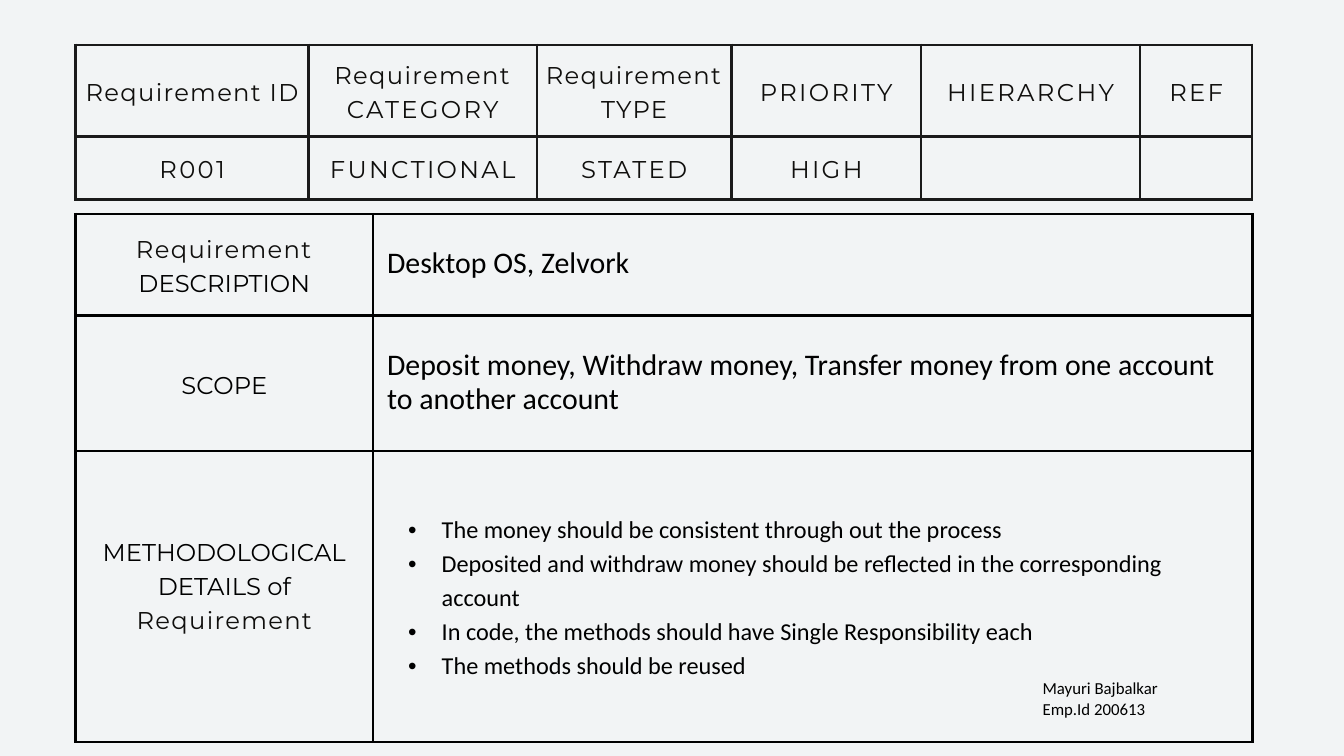
from lxml import etree
from pptx import Presentation
from pptx import util as u
from pptx.dml.color import RGBColor
from pptx.enum import text
from pptx.oxml import ns

INK = "100F0D"
BLACK = "000000"
SANS = "Montserrat"
BODY = "Calibri"
LEADING = 36.4


def px(n):
    return u.Emu(n * 9525)


def color(code):
    return RGBColor.from_string(code)


def add(parent, tag, **attrs):
    return etree.SubElement(parent, ns.qn(tag), **attrs)


def write(para, words, size=26, font=SANS, ink=INK, gap=0):
    run = para.add_run()
    run.text = words
    run.font.size = u.Pt(size)
    run.font.name = font
    run.font.color.rgb = color(ink)
    if gap:
        run.font._element.set("spc", str(round(gap * 100)))


def align(para, center=True):
    para.line_spacing = u.Pt(LEADING)
    para.alignment = text.PP_ALIGN.CENTER if center else text.PP_ALIGN.LEFT


def bullet(para):
    align(para, False)
    para.level = 1
    props = para._p.get_or_add_pPr()
    props.set("marL", str(px(78)))
    props.set("indent", str(px(-48)))
    add(props, "a:buFont", typeface="Arial")
    add(props, "a:buChar", char="•")


def border(cell, ink):
    props = cell._tc.get_or_add_tcPr()
    for side in ("L", "R", "T", "B"):
        line = add(props, f"a:ln{side}", w=str(u.Pt(3)))
        fill = add(line, "a:solidFill")
        add(fill, "a:srgbClr", val=ink)


def grid(slide, left, top, cols, rows, inset, ink):
    frame = slide.shapes.add_table(
        len(rows), len(cols), px(left), px(top), px(sum(cols)), px(sum(rows)))
    table = frame.table
    table.first_row = table.horz_banding = False
    for col, width in zip(table.columns, cols):
        col.width = px(width)
    for row, height in zip(table.rows, rows):
        row.height = px(height)
    for cell in table.iter_cells():
        border(cell, ink)
        cell.fill.background()
        cell.vertical_anchor = text.MSO_ANCHOR.MIDDLE
        cell.margin_left = cell.margin_right = px(inset)
        cell.margin_top = cell.margin_bottom = px(inset)
    return table


def label(cell, *runs):
    para = cell.text_frame.paragraphs[0]
    align(para)
    for words, style in runs:
        write(para, words, **style)


def answer(cell, words):
    para = cell.text_frame.paragraphs[0]
    align(para, False)
    write(para, words, size=32, font=BODY, ink=BLACK)


def lines(frame, items):
    for i, words in enumerate(items):
        para = frame.add_paragraph() if i else frame.paragraphs[0]
        yield para, words


def summary(slide):
    wide, snug = {"gap": 2.5}, {"gap": 1.4}
    table = grid(slide, 108, 64, [333, 326, 278, 271, 313, 160],
                 [131, 90], 11, "1A1A1A")
    heads = [
        [("Requirement ID", snug)],
        [("Requirement ", snug), ("CATEGORY", wide)],
        [("Requirement TYPE", snug)],
        [("PRIORITY", wide)],
        [("HIERARCHY", wide)],
        [("REF", wide)],
    ]
    for i, runs in enumerate(heads):
        label(table.cell(0, i), *runs)
    for i, words in enumerate(["R001", "FUNCTIONAL", "STATED", "HIGH"]):
        label(table.cell(1, i), (words, wide))


def details(slide):
    snug, dark = {"gap": 1.4}, {"ink": "010101"}
    plain = {"ink": BLACK}
    table = grid(slide, 108, 306, [425, 1256], [145, 193, 416], 20, BLACK)
    label(table.cell(0, 0), ("Requirement ", snug), ("DESCRIPTION", dark))
    label(table.cell(1, 0), ("SCOPE", plain))
    method = table.cell(2, 0)
    method.margin_bottom = px(54)
    label(method, ("METHODOLOGICAL DETAILS of ", plain),
          ("Requirement", snug))
    answer(table.cell(0, 1), "Desktop OS, Zelvork")
    answer(table.cell(1, 1), "Deposit money, Withdraw money, Transfer money "
           "from one account to another account")
    points = [
        "The money should be consistent through out the process",
        "Deposited and withdraw money should be reflected in the "
        "corresponding account",
        "In code, the methods should have Single Responsibility each",
        "The methods should be reused",
    ]
    for para, words in lines(table.cell(2, 1).text_frame, points):
        bullet(para)
        write(para, words, font=BODY, ink=BLACK)


def author(slide):
    box = slide.shapes.add_textbox(px(1480), px(964), px(960), px(68))
    frame = box.text_frame
    frame.word_wrap = True
    frame.auto_size = text.MSO_AUTO_SIZE.SHAPE_TO_FIT_TEXT
    for para, words in lines(frame, ["Mayuri Bajbalkar", "Emp.Id 200613"]):
        write(para, words, size=18, font=BODY, ink=BLACK)


def main():
    deck = Presentation()
    deck.slide_width, deck.slide_height = px(1920), px(1080)
    slide = deck.slides.add_slide(deck.slide_layouts[6])
    fill = slide.background.fill
    fill.solid()
    fill.fore_color.rgb = color("F2F4F5")
    summary(slide)
    details(slide)
    author(slide)
    deck.save("out.pptx")


if __name__ == "__main__":
    main()
